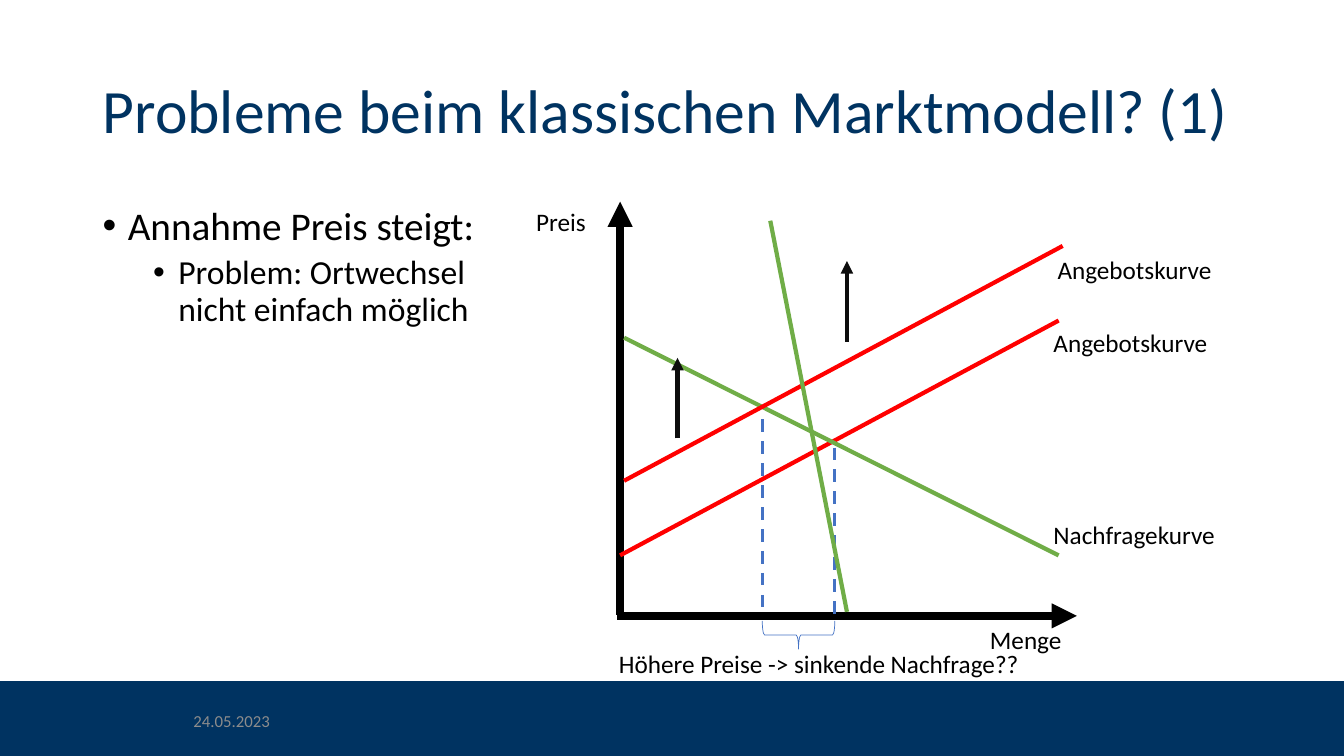
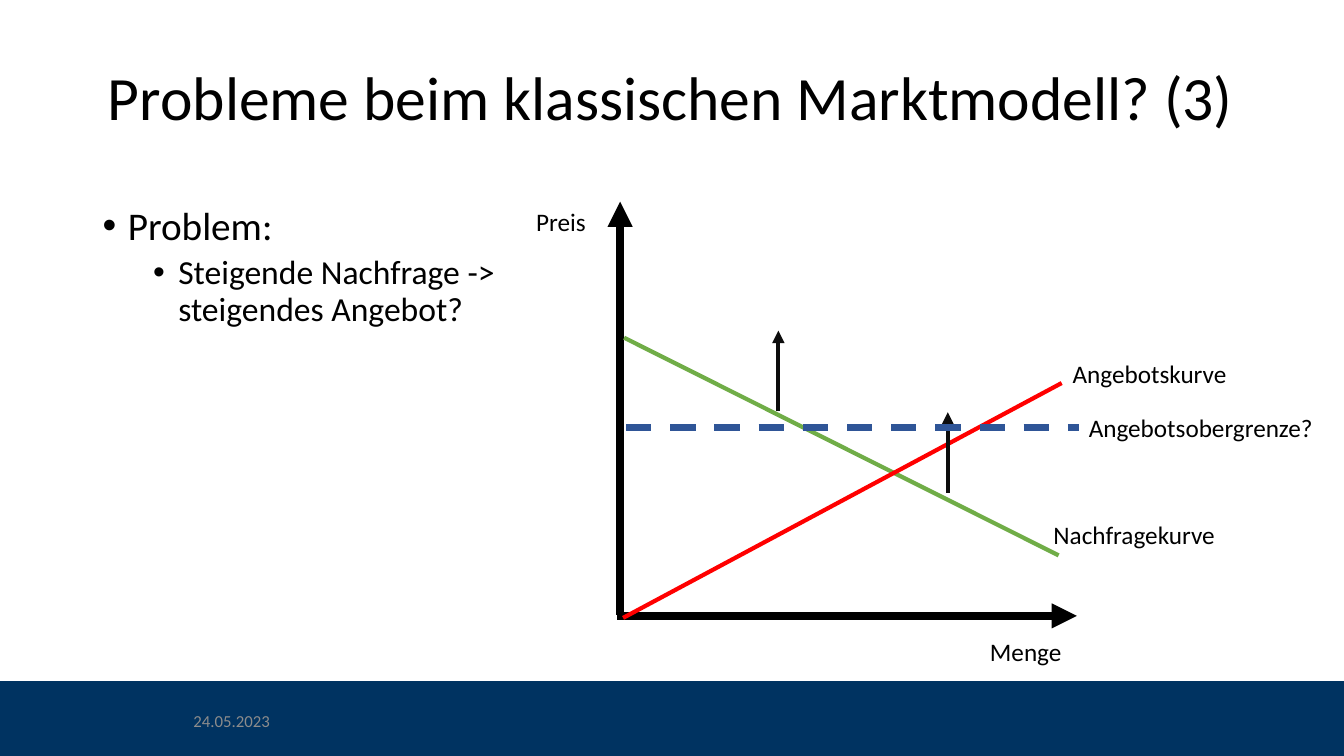
from pptx import Presentation
from pptx.dml.color import RGBColor
from pptx.enum.dml import MSO_LINE_DASH_STYLE as Dash
from pptx.enum.shapes import MSO_CONNECTOR as Connector, MSO_SHAPE as Shape
from pptx.enum.text import MSO_ANCHOR as Anchor, MSO_AUTO_SIZE as AutoSize, PP_ALIGN as Align
from pptx.oxml.ns import qn
from pptx.util import Inches, Pt
from lxml.etree import SubElement

NAVY, BLACK, GREY = "003361", "000000", "8C8C8C"
SUPPLY, DEMAND, SHIFT = "FF0000", "70AD47", "0D0D0D"
GUIDE, LIMIT = "4472C4", "2F5597"


def rgb(value):
    return RGBColor.from_string(value)


def apply(target, formats):
    for name, value in formats.items():
        setattr(target, name, value)


class MarketDeck:
    """Shared style, the current slide and one method per kind of element."""

    font = "Calibri"
    bullet_levels = (
        {"size": 28, "before": 10, "indent": 0.25},
        {"size": 24, "before": 5, "indent": 0.75},
    )

    def __init__(self):
        self.deck = Presentation()
        apply(self.deck, {"slide_width": Inches(13.33), "slide_height": Inches(7.5)})
        self.slide = None

    def new_slide(self, title, left, top, color):
        self.slide = self.deck.slides.add_slide(self.deck.slide_layouts[5])
        self.title(title, left, top, color)
        self.band()
        self.text("24.05.2023", 1.82, 6.95, 3, size=12, color=GREY, anchor=Anchor.MIDDLE)

    def style_run(self, paragraph, text, size, color):
        run = paragraph.add_run()
        run.text = text
        apply(run.font, {"name": self.font, "size": Pt(size), "bold": False})
        run.font.color.rgb = rgb(color)

    def title(self, text, left, top, color):
        heading = self.slide.shapes.title
        apply(heading, {"left": Inches(left), "top": Inches(top),
                        "width": Inches(11.5), "height": Inches(1.45)})
        frame = heading.text_frame
        apply(frame, {"word_wrap": True, "auto_size": AutoSize.NONE,
                      "vertical_anchor": Anchor.MIDDLE})
        paragraph = frame.paragraphs[0]
        apply(paragraph, {"alignment": Align.LEFT, "line_spacing": 0.9})
        self.style_run(paragraph, text, 44, color)

    def shape(self, kind, left, top, width, height, line, weight, fill=None):
        item = self.slide.shapes.add_shape(
            kind, Inches(left), Inches(top), Inches(width), Inches(height))
        item.shadow.inherit = False
        if fill:
            item.fill.solid()
            item.fill.fore_color.rgb = rgb(fill)
        else:
            item.fill.background()
        item.line.color.rgb = rgb(line)
        item.line.width = Pt(weight)
        return item

    def band(self):
        self.shape(Shape.RECTANGLE, 0, 6.76, 13.33, 0.74, NAVY, 1, fill=NAVY)

    def text_frame(self, left, top, width, height, anchor=Anchor.TOP):
        box = self.slide.shapes.add_textbox(
            Inches(left), Inches(top), Inches(width), Inches(height))
        apply(box.text_frame, {"word_wrap": True, "vertical_anchor": anchor})
        return box.text_frame

    def text(self, text, left, top, width, size=18, color=BLACK, anchor=Anchor.TOP):
        frame = self.text_frame(left, top, width, 0.4, anchor)
        self.style_run(frame.paragraphs[0], text, size, color)

    def bullets(self, *points):
        frame = self.text_frame(0.92, 2, 4.3, 4.76)
        for level, (point, style) in enumerate(zip(points, self.bullet_levels)):
            paragraph = frame.add_paragraph() if level else frame.paragraphs[0]
            apply(paragraph, {"level": level, "line_spacing": 0.9,
                              "space_before": Pt(style["before"])})
            self.style_run(paragraph, point, style["size"], BLACK)
            properties = paragraph._p.get_or_add_pPr()
            properties.set("marL", str(Inches(style["indent"])))
            properties.set("indent", str(Inches(-0.25)))
            SubElement(properties, qn("a:buFont"), typeface="Arial")
            SubElement(properties, qn("a:buChar"), char="•")

    def line(self, start, end, color, weight=3, dashed=False, arrow=False):
        stroke = self.slide.shapes.add_connector(
            Connector.STRAIGHT, *(Inches(value) for value in (*start, *end)))
        stroke.line.color.rgb = rgb(color)
        stroke.line.width = Pt(weight)
        if dashed:
            stroke.line.dash_style = Dash.DASH
        if arrow:
            SubElement(stroke.line._get_or_add_ln(), qn("a:tailEnd"), type="triangle")
        SubElement(stroke._element.spPr, qn("a:effectLst"))

    def axes(self, quantity_top):
        self.line((6.15, 6.1), (6.15, 2), BLACK, weight=6, arrow=True)
        self.line((6.12, 6.11), (10.68, 6.11), BLACK, weight=6, arrow=True)
        self.text("Preis", 5.22, 2, 0.89)
        self.text("Menge", 9.72, quantity_top, 0.95)

    def supply(self, left, bottom, label_left, label_top):
        self.line((left, bottom), (left + 4.35, bottom - 2.33), SUPPLY)
        self.text("Angebotskurve", label_left, label_top, 2.12)

    def demand(self):
        self.line((6.19, 3.35), (10.5, 5.51), DEMAND)
        self.text("Nachfragekurve", 10.35, 5.1, 2.12)

    def shift_arrow(self, x, bottom):
        self.line((x, bottom), (x, bottom - 0.8), SHIFT, arrow=True)


def rising_price(market):
    market.new_slide("Probleme beim klassischen Marktmodell? (1)", 0.92, 0.4, NAVY)
    market.bullets("Annahme Preis steigt:", "Problem: Ortwechsel nicht einfach möglich")

    # Supply before and after the price rise
    market.axes(quantity_top=6.14)
    market.supply(6.15, 5.51, 10.35, 3.2)
    market.demand()
    market.supply(6.19, 4.77, 10.39, 2.47)

    # Drop in quantity between the two equilibria
    before, after = 8.28, 7.56
    for x, top in ((before, 4.44), (after, 4.16)):
        market.line((x, top), (x, 6.1), GUIDE, weight=2.25, dashed=True)
    drop = market.shape(Shape.RIGHT_BRACE, 7.78, 5.94, 0.28, before - after, GUIDE, 0.5)
    drop.rotation = 90
    market.text("Höhere Preise -> sinkende Nachfrage??", 6.04, 6.38, 4.46)

    # Steep demand and direction of the shift
    market.line((7.64, 2.19), (8.4, 6.07), DEMAND)
    for x, bottom in ((8.4, 3.39), (6.72, 4.35)):
        market.shift_arrow(x, bottom)


def supply_limit(market):
    market.new_slide("Probleme beim klassischen Marktmodell? (3)", 0.97, 0.27, BLACK)
    market.bullets("Problem:", "Steigende Nachfrage -> steigendes Angebot?")

    # Rising demand
    market.axes(quantity_top=6.26)
    market.demand()
    market.supply(6.18, 6.13, 10.54, 3.51)
    for x, bottom in ((9.4, 4.89), (7.72, 4.08)):
        market.shift_arrow(x, bottom)

    # Upper limit of supply
    market.line((6.21, 4.24), (10.7, 4.24), LIMIT, weight=4.5, dashed=True)
    market.text("Angebotsobergrenze?", 10.7, 4.04, 2.51)


def main():
    market = MarketDeck()
    rising_price(market)
    supply_limit(market)
    market.deck.save("out.pptx")


if __name__ == "__main__":
    main()
